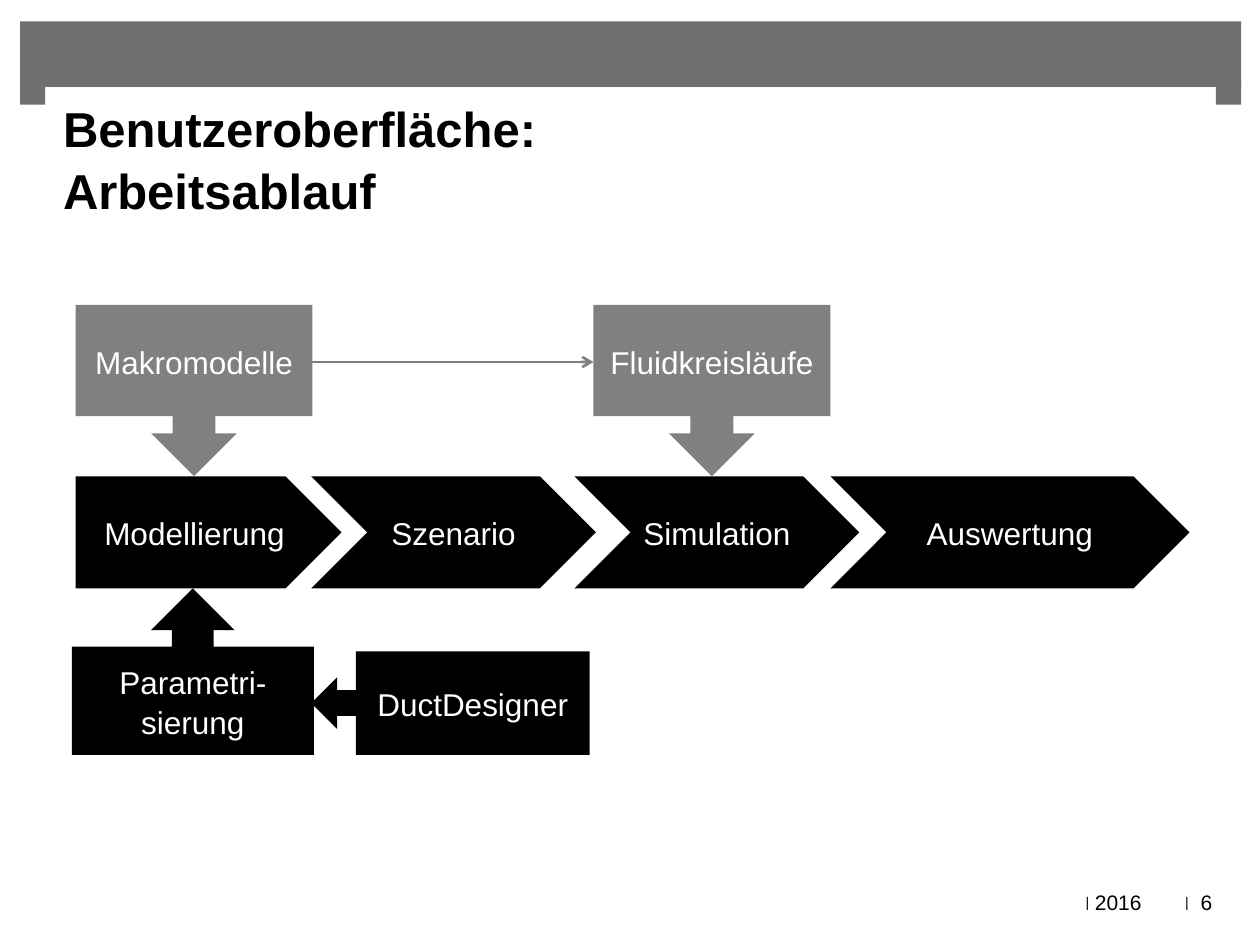
from lxml.etree import SubElement
from pptx import Presentation
from pptx.dml.color import RGBColor
from pptx.enum.shapes import MSO_CONNECTOR as LINE, MSO_SHAPE as SHAPE
from pptx.enum.text import MSO_ANCHOR as ANCHOR, PP_ALIGN as ALIGN
from pptx.oxml.ns import qn
from pptx.util import Inches, Pt

COLUMNS, ROWS = 100, 75  # square grid cells of a tenth of an inch
BLACK, WHITE, GREY, BAR = "000000", "FFFFFF", "808080", "6F6F6F"


def cells(count):
    return Inches(count / 10)


def color(value):
    return RGBColor.from_string(value)


def write(shape, text, size, ink, align=ALIGN.CENTER, bold=False):
    shape.text_frame.text = text
    for para in shape.text_frame.paragraphs:
        para.alignment = align
        para.line_spacing = 1.05
        para.font.name = "Arial"
        para.font.size = Pt(size)
        para.font.bold = bold
        para.font.color.rgb = color(ink)


def add_block(page, kind, box, fill, text=""):
    shape = page.shapes.add_shape(kind, *map(cells, box))
    shape.shadow.inherit = False
    shape.fill.solid()
    shape.fill.fore_color.rgb = color(fill)
    shape.line.fill.background()
    if text:
        shape.text_frame.word_wrap = True
        shape.text_frame.vertical_anchor = ANCHOR.MIDDLE
        write(shape, text, 18, WHITE)
    return shape


def add_label(page, box, text, size, anchor=ANCHOR.MIDDLE, margins=(0, 0), **style):
    label = page.shapes.add_textbox(*map(cells, box))
    frame = label.text_frame
    frame.vertical_anchor = anchor
    frame.margin_left, frame.margin_right = map(cells, margins)
    frame.margin_top = frame.margin_bottom = 0
    frame.word_wrap = True
    write(label, text, size, BLACK, **style)


def add_header(page, box):
    """Grey bar with a short foot at each end."""
    left, top, width, height = box
    foot_width, foot_height, overlap = 2, 1.8, 0.4
    add_block(page, SHAPE.RECTANGLE, box, BAR)
    for foot_left in (left, left + width - foot_width):
        foot = (foot_left, top + height - overlap, foot_width, foot_height)
        add_block(page, SHAPE.RECTANGLE, foot, BAR)


def add_footer(page, box):
    left, top, width, height = box
    for offset, label_width, text, size in (
        (0.3, 1.2, "|", 8), (0, 6.7, "2016", 12),
        (8.2, 1.2, "|", 8), (8.9, 2.9, "6", 12),
    ):
        add_label(page, (left + offset, top, label_width, height), text, size)


def add_process(page, box):
    """Row of steps, each given by its offset and width."""
    left, top, _, height = box
    for kind, offset, width, text in (
        (SHAPE.PENTAGON, 0, 21.1, "Modellierung"),
        (SHAPE.CHEVRON, 18.7, 22.6, "Szenario"),
        (SHAPE.CHEVRON, 39.6, 22.6, "Simulation"),
        (SHAPE.CHEVRON, 59.9, 28.5, "Auswertung"),
    ):
        add_block(page, kind, (left + offset, top, width, height), BLACK, text)


def add_models(page, box):
    """Callouts pointing down at the process, joined by an arrow."""
    left, top, width, height = box
    callout_width = 18.8
    right = left + width - callout_width
    for callout_left, text in ((left, "Makromodelle"), (right, "Fluidkreisläufe")):
        add_block(page, SHAPE.DOWN_ARROW_CALLOUT,
                  (callout_left, top, callout_width, height), GREY, text)
    middle = top + height / 3
    ends = (left + callout_width, middle, right, middle)
    arrow = page.shapes.add_connector(LINE.STRAIGHT, *map(cells, ends))
    arrow.line.color.rgb = color(GREY)
    arrow.line.width = Pt(1.5)
    SubElement(arrow.line._get_or_add_ln(), qn("a:tailEnd"), type="arrow")
    SubElement(arrow._element.spPr, qn("a:effectLst"))


def add_inputs(page, box):
    """Callouts that feed the first step from below."""
    left, top, width, height = box
    first_width, second_height = 19.2, 8.2
    add_block(page, SHAPE.UP_ARROW_CALLOUT, (left, top, first_width, height),
              BLACK, "Parametri-sierung")
    second = (left + first_width - 0.2, top + height - second_height,
              width - first_width + 0.2, second_height)
    designer = add_block(page, SHAPE.LEFT_ARROW_CALLOUT, second, BLACK, "DuctDesigner")
    designer.adjustments[3] = 0.84


def main():
    deck = Presentation()
    deck.slide_width, deck.slide_height = cells(COLUMNS), cells(ROWS)
    page = deck.slides.add_slide(deck.slide_layouts[6])
    add_header(page, (1.6, 1.7, 96.9, 5.2))
    add_label(page, (3.5, 6.8, 92.9, 10.6), "Benutzeroberfläche:\vArbeitsablauf", 28,
              anchor=ANCHOR.BOTTOM, margins=(1.5, 1.6), align=ALIGN.LEFT, bold=True)
    add_footer(page, (85.4, 69, 11.8, 5.1))
    add_process(page, (6, 37.8, 88.4, 8.9))
    add_models(page, (6, 24.2, 59.9, 13.6))
    add_inputs(page, (5.7, 46.7, 41.1, 13.2))
    deck.save("out.pptx")


if __name__ == "__main__":
    main()
